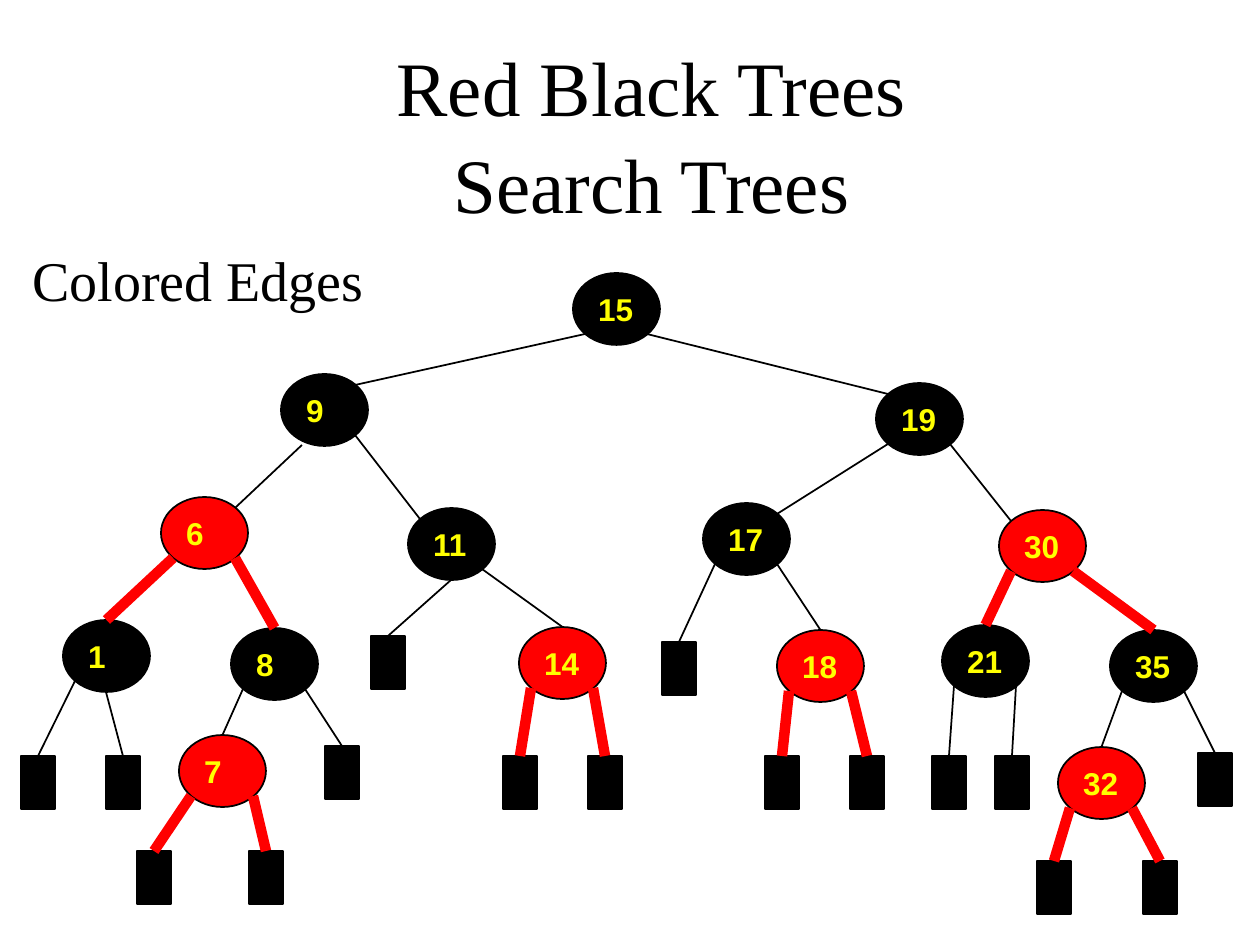
from dataclasses import dataclass
from typing import Optional, Tuple

from pptx import Presentation
from pptx.dml.color import RGBColor
from pptx.enum import shapes, text
from pptx.oxml import xmlchemy
from pptx.util import Emu, Pt

BLACK = RGBColor(0, 0, 0)
RED = RGBColor(255, 0, 0)
YELLOW = RGBColor(255, 255, 0)
WHITE = RGBColor(255, 255, 255)
SERIF = "Times New Roman"
SANS = "Arial"

PX = 914400 / 126
NODE_WIDTH, NODE_HEIGHT = 87, 72
LEAF_WIDTH, LEAF_HEIGHT = 34, 53
DIAGONAL_X, DIAGONAL_Y = 31, 25


def px(length: int) -> Emu:
    return Emu(round(length * PX))


@dataclass(frozen=True)
class Leaf:
    left: int
    top: int


@dataclass(frozen=True)
class Node:
    value: str
    left: int
    top: int
    color: RGBColor
    lower: object
    higher: Optional[object] = None
    lower_exit: Tuple[int, int] = (-DIAGONAL_X, DIAGONAL_Y)
    higher_exit: Tuple[int, int] = (DIAGONAL_X, DIAGONAL_Y)
    corner_ends: bool = False

    @property
    def center(self) -> Tuple[int, int]:
        return self.left + NODE_WIDTH // 2, self.top + NODE_HEIGHT // 2


SEVEN = Node("7", 179, 735, RED, Leaf(137, 851), Leaf(249, 851))
ONE = Node("1", 63, 620, BLACK, Leaf(21, 756), Leaf(106, 756), higher_exit=(0, 36))
EIGHT = Node("8", 231, 628, BLACK, SEVEN, Leaf(325, 746))
SIX = Node("6", 161, 497, RED, ONE, EIGHT)
FOURTEEN = Node("14", 519, 627, RED, Leaf(503, 756), Leaf(588, 756))
ELEVEN = Node("11", 408, 508, BLACK, Leaf(371, 636), FOURTEEN, lower_exit=(0, 36))
NINE = Node("9", 281, 374, BLACK, SIX, ELEVEN, lower_exit=(-22, 35), corner_ends=True)
EIGHTEEN = Node("18", 777, 630, RED, Leaf(765, 756), Leaf(850, 756))
SEVENTEEN = Node("17", 703, 503, BLACK, Leaf(662, 642), EIGHTEEN)
TWENTY_ONE = Node("21", 942, 625, BLACK, Leaf(932, 756), Leaf(995, 756))
THIRTY_TWO = Node("32", 1058, 747, RED, Leaf(1037, 861), Leaf(1143, 861))
THIRTY_FIVE = Node("35", 1110, 630, BLACK, THIRTY_TWO, Leaf(1198, 753))
THIRTY = Node("30", 999, 510, RED, TWENTY_ONE, THIRTY_FIVE)
NINETEEN = Node("19", 876, 383, BLACK, SEVENTEEN, THIRTY, corner_ends=True)
ROOT = Node("15", 573, 273, BLACK, NINE, NINETEEN, corner_ends=True)


def write(frame, words: str, *, font: str, size: int, color: RGBColor = BLACK,
          bold: bool = False, align=text.PP_ALIGN.LEFT, spacing: float = 1.0) -> None:
    frame.text = words
    for para in frame.paragraphs:
        para.alignment = align
        para.line_spacing = spacing
        for span in para.runs:
            span.font.name = font
            span.font.size = Pt(size)
            span.font.bold = bold
            span.font.color.rgb = color


def draw_shape(page, kind, left: int, top: int, width: int, height: int, color: RGBColor):
    shape = page.shapes.add_shape(kind, px(left), px(top), px(width), px(height))
    shape.shadow.inherit = False
    shape.fill.solid()
    shape.fill.fore_color.rgb = color
    shape.line.color.rgb = BLACK
    shape.line.width = Pt(1)
    return shape


def draw_leaf(page, leaf: Leaf):
    return draw_shape(page, shapes.MSO_SHAPE.RECTANGLE, leaf.left, leaf.top,
                      LEAF_WIDTH, LEAF_HEIGHT, BLACK)


def draw_node(page, node: Node):
    oval = draw_shape(page, shapes.MSO_SHAPE.OVAL, node.left, node.top,
                      NODE_WIDTH, NODE_HEIGHT, node.color)
    frame = oval.text_frame
    frame.margin_right = 0
    frame.vertical_anchor = text.MSO_ANCHOR.MIDDLE
    write(frame, node.value, font=SANS, size=18, color=YELLOW, bold=True)
    return oval


def draw_edge(page, parent: Node, child, child_shape, leaving: Tuple[int, int]) -> None:
    x, y = parent.center
    start_x, start_y = x + leaving[0], y + leaving[1]
    end_x, end_y = child.left, child.top
    if parent.corner_ends:
        x, y = child.center
        end_x = x + (DIAGONAL_X if leaving[0] < 0 else -DIAGONAL_X)
        end_y = y - DIAGONAL_Y
    edge = page.shapes.add_connector(shapes.MSO_CONNECTOR.STRAIGHT, px(start_x),
                                     px(start_y), px(end_x), px(end_y))
    if not parent.corner_ends:
        edge.end_connect(child_shape, 0)
    edge.line.color.rgb = parent.color
    edge.line.width = Pt(6 if parent.color == RED else 1)
    edge._element.spPr.append(xmlchemy.OxmlElement("a:effectLst"))


def draw_tree(page, branch):
    if isinstance(branch, Leaf):
        return draw_leaf(page, branch)
    oval = draw_node(page, branch)
    for child, leaving in ((branch.lower, branch.lower_exit),
                           (branch.higher, branch.higher_exit)):
        if child:
            draw_edge(page, branch, child, draw_tree(page, child), leaving)
    return oval


def main() -> None:
    deck = Presentation()
    deck.slide_width, deck.slide_height = px(1260), px(945)
    page = deck.slides.add_slide(deck.slide_layouts[0])
    page.background.fill.solid()
    page.background.fill.fore_color.rgb = WHITE
    subtitle = page.placeholders[1]._element
    subtitle.getparent().remove(subtitle)

    title = page.shapes.title
    title.left, title.top, title.width, title.height = px(116), px(53), px(1071), px(158)
    title.text_frame.vertical_anchor = text.MSO_ANCHOR.MIDDLE
    title.text_frame.auto_size = text.MSO_AUTO_SIZE.NONE
    write(title.text_frame, "Red Black Trees\vSearch Trees", font=SERIF, size=44,
          align=text.PP_ALIGN.CENTER, spacing=1.05)

    draw_tree(page, ROOT)

    box = page.shapes.add_textbox(px(20), px(239), px(360), px(81))
    box.text_frame.word_wrap = False
    box.text_frame.auto_size = text.MSO_AUTO_SIZE.SHAPE_TO_FIT_TEXT
    write(box.text_frame, "Colored Edges", font=SERIF, size=32)
    deck.save("out.pptx")


if __name__ == "__main__":
    main()
